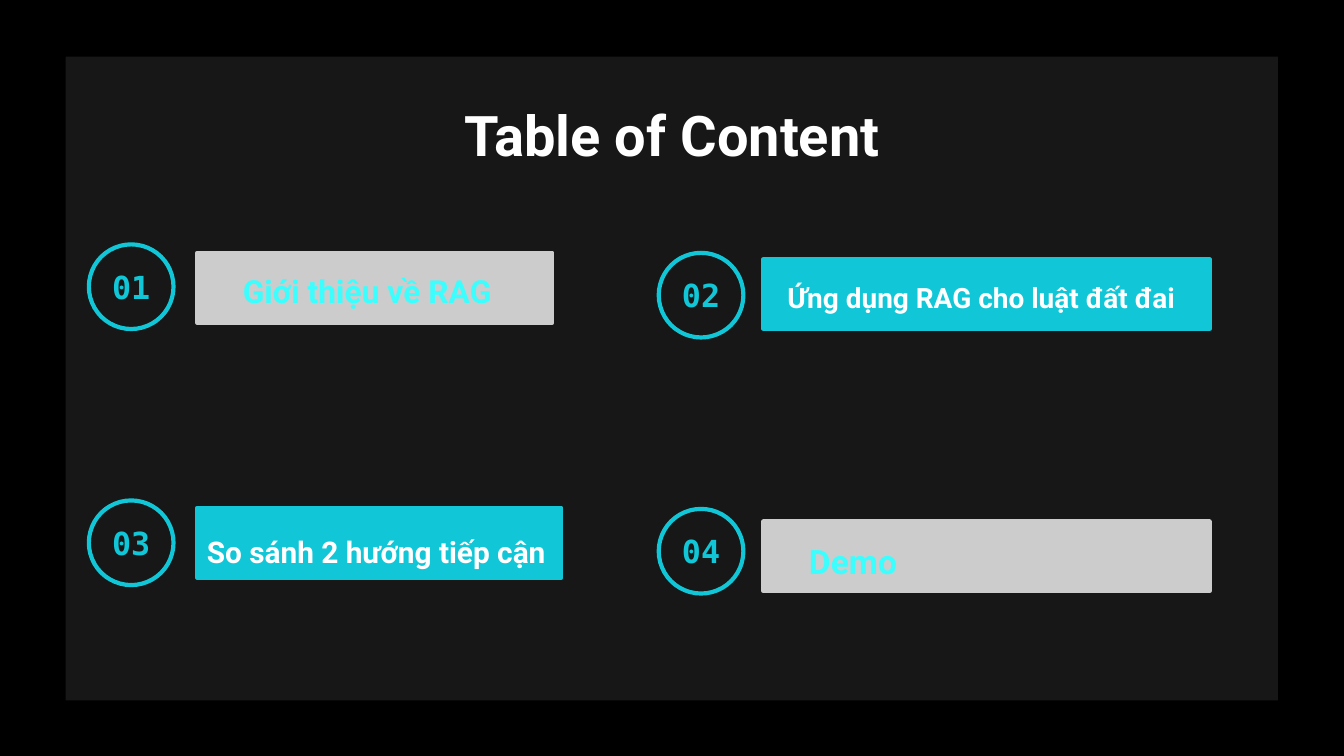
"""Build the table of content slide."""
import pptx
import pptx.dml.color
import pptx.enum.shapes
import pptx.enum.text
import pptx.util

Cm, Pt = pptx.util.Cm, pptx.util.Pt
SHAPE = pptx.enum.shapes.MSO_SHAPE
ALIGN = pptx.enum.text.PP_ALIGN
ANCHOR = pptx.enum.text.MSO_ANCHOR

TITLE = "Table of Content"
BLACK, PANEL, WHITE = "000000", "171717", "FFFFFF"
TEAL, GREY, AQUA = "11C7D7", "CCCCCC", "3BFFFF"
ENTRIES = [
    dict(text="Giới thiệu về RAG", size=17, fill=GREY, color=AQUA,
         bar_y=4.78, bar_w=6.71, label=(4.34, 4.78, 5.49, 1.32)),
    dict(text="Ứng dụng RAG cho luật đất đai", size=15, fill=TEAL, color=WHITE,
         bar_y=4.9, bar_w=8.43, label=(14.63, 4.95, 8.03, 1.19)),
    dict(text="So sánh 2 hướng tiếp cận", size=16, fill=TEAL, color=WHITE,
         bar_y=9.6, bar_w=6.88, label=(3.66, 9.73, 7.04, 1.32)),
    dict(text="Demo", size=18, fill=GREY, color=AQUA,
         bar_y=9.86, bar_w=8.43, label=(15.04, 9.86, 7.19, 1.32)),
]
CIRCLE_X, BAR_X = (1.68, 12.45), (3.73, 14.43)
CIRCLE_Y, ROW_STEP, COL_DROP = 4.62, 4.84, 0.16
CIRCLE, BAR_H = 1.6, 1.32


def rgb(value):
    return pptx.dml.color.RGBColor.from_string(value)


def add_shape(s, kind, box, fill=None, line=None):
    sp = s.shapes.add_shape(kind, *map(Cm, box))
    sp.shadow.inherit = False
    if fill:
        sp.fill.solid()
        sp.fill.fore_color.rgb = rgb(fill)
    else:
        sp.fill.background()
    if line:
        sp.line.color.rgb = rgb(line)
        sp.line.width = Pt(2.25)
    else:
        sp.line.fill.background()
    return sp


def write(sp, text, size, color, font="Roboto", align=ALIGN.LEFT,
          anchor=ANCHOR.TOP, side=0.25):
    tf = sp.text_frame
    tf.text = text
    tf.word_wrap = True
    tf.vertical_anchor = anchor
    tf.margin_left = tf.margin_right = Cm(side)
    tf.margin_top = tf.margin_bottom = Cm(0.25)
    p = tf.paragraphs[0]
    p.alignment = align
    f = p.runs[0].font
    f.name, f.size, f.bold = font, Pt(size), True
    f.color.rgb = rgb(color)
    return p


def main():
    prs = pptx.Presentation()
    prs.slide_width, prs.slide_height = Cm(25.4), Cm(14.29)
    s = prs.slides.add_slide(prs.slide_layouts[6])
    s.background.fill.solid()
    s.background.fill.fore_color.rgb = rgb(BLACK)
    add_shape(s, SHAPE.RECTANGLE, (1.24, 1.07, 22.91, 12.17), PANEL)
    title = s.shapes.add_textbox(Cm(2), Cm(1.65), Cm(21.41), Cm(1.6))
    write(title, TITLE, 30, WHITE, align=ALIGN.CENTER)

    for i, entry in enumerate(ENTRIES):
        row, col = divmod(i, 2)
        y = CIRCLE_Y + row * ROW_STEP + col * COL_DROP
        sp = add_shape(s, SHAPE.OVAL, (CIRCLE_X[col], y, CIRCLE, CIRCLE), line=TEAL)
        write(sp, f"{i + 1:02}", 17, TEAL, "DejaVu Sans Mono",
              ALIGN.CENTER, ANCHOR.MIDDLE, 0)
        bar = (BAR_X[col], entry["bar_y"], entry["bar_w"], BAR_H)
        add_shape(s, SHAPE.RECTANGLE, bar, entry["fill"], entry["fill"])
        label = s.shapes.add_textbox(*map(Cm, entry["label"]))
        p = write(label, entry["text"], entry["size"], entry["color"])
        p.line_spacing = 1.15
        p.space_after = Pt(16)

    prs.save("out.pptx")


if __name__ == "__main__":
    main()
